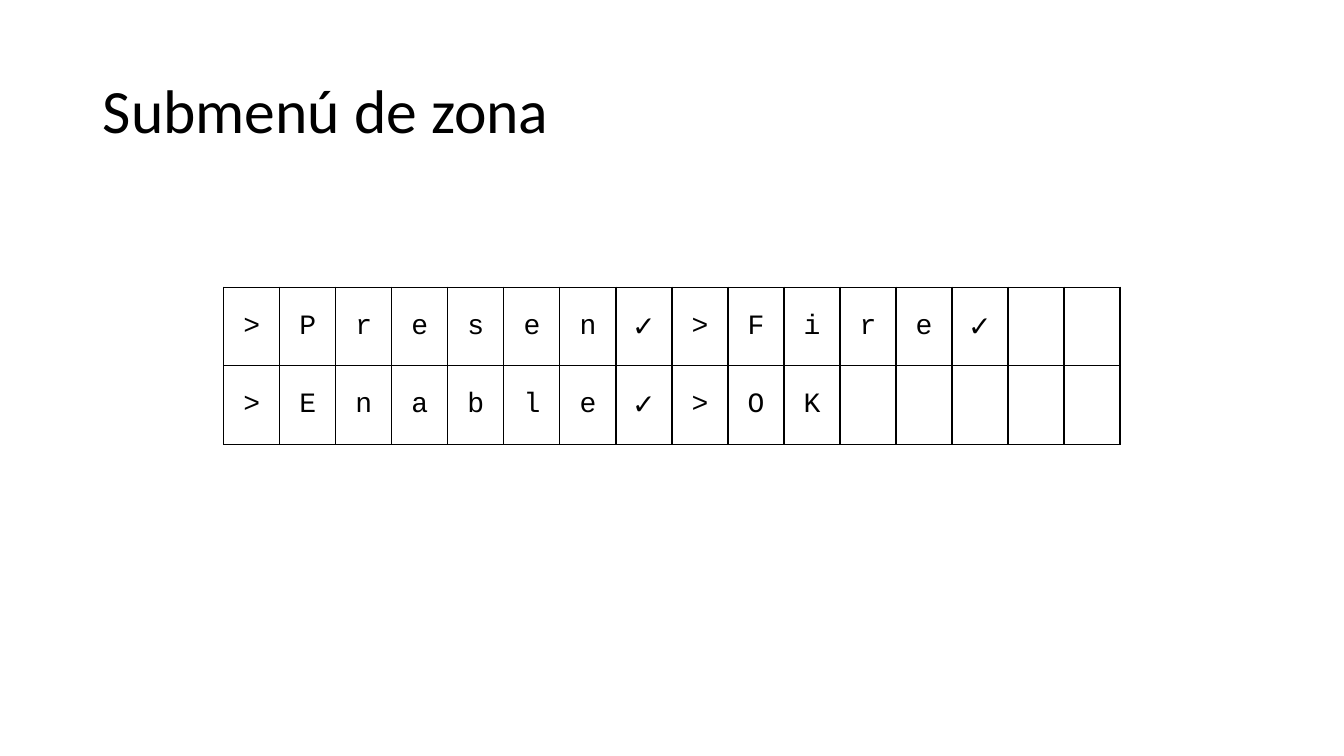
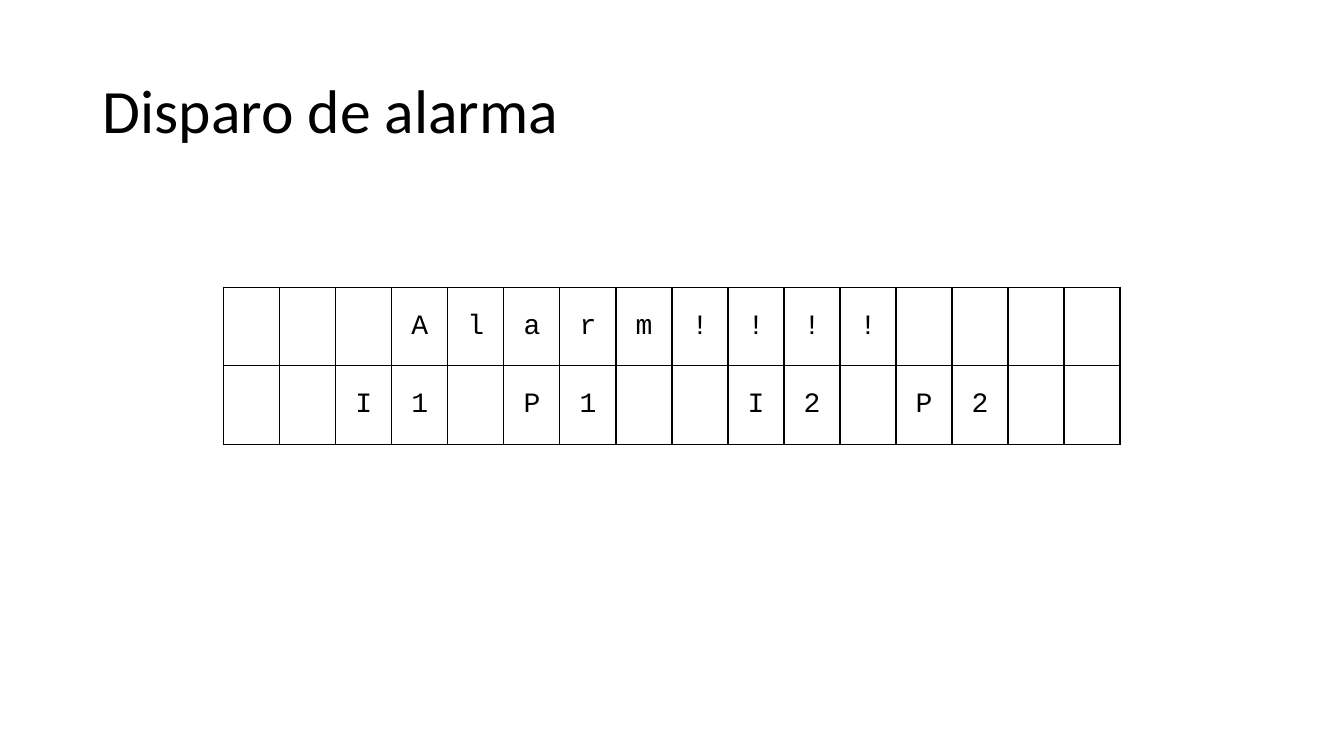
from lxml.etree import SubElement
from pptx import Presentation
from pptx.dml.color import RGBColor
from pptx.enum.text import MSO_ANCHOR, MSO_AUTO_SIZE, PP_ALIGN
from pptx.oxml.ns import qn
from pptx.util import Inches, Pt

COLORS = {"ink": "000000", "paper": "FFFFFF"}
TITLE_FONT, DISPLAY_FONT, SYMBOL_FONT = "Calibri", "Courier New", "Arial"
SLIDE_SIZE = (13.33, 7.5)
TITLE_BOX = (0.92, 0.4, 11.5, 1.45)
DISPLAY_BOX = (2.22, 2.85, 8.89, 1.56)
DISPLAY_COLUMNS = 16
TITLE_ONLY = 5

SCREENS = [
    ("Submenú de zona", [{0: "Presen✓", 8: "Fire✓"}, {0: "Enable✓", 8: "OK"}], ">"),
    ("Disparo de alarma", [{3: "Alarm!!!!"}, {2: "I1", 5: "P1", 9: "I2", 12: "P2"}], ""),
]


def style_font(font, name, size):
    """Set the typeface, size and ink colour of a font."""
    font.name = name
    font.size = Pt(size)
    font.color.rgb = RGBColor.from_string(COLORS["ink"])


def add_title(slide, text, box):
    """Place and format the title placeholder."""
    title = slide.shapes.title
    title.left, title.top, title.width, title.height = map(Inches, box)
    frame = title.text_frame
    frame.text = text
    frame.auto_size = MSO_AUTO_SIZE.NONE
    frame.vertical_anchor = MSO_ANCHOR.MIDDLE
    paragraph = frame.paragraphs[0]
    paragraph.alignment = PP_ALIGN.LEFT
    paragraph.line_spacing = 0.9
    style_font(paragraph.font, TITLE_FONT, 44)


def outline_cell(cell):
    """Draw a thin border on all four sides of an unfilled cell."""
    properties = cell._tc.get_or_add_tcPr()
    for side in ("a:lnL", "a:lnR", "a:lnT", "a:lnB"):
        line = SubElement(properties, qn(side), w=str(Pt(1)))
        fill = SubElement(line, qn("a:solidFill"))
        SubElement(fill, qn("a:srgbClr"), val=COLORS["ink"])
    cell.fill.background()


def write_character(cell, character):
    """Centre one display character in a cell."""
    cell.text = character
    paragraph = cell.text_frame.paragraphs[0]
    paragraph.alignment = PP_ALIGN.CENTER
    style_font(paragraph.font, SYMBOL_FONT if character == "✓" else DISPLAY_FONT, 20)


def add_display(slide, lines, prompt, box):
    """Draw a character display whose words are keyed by starting column."""
    table = slide.shapes.add_table(len(lines), DISPLAY_COLUMNS, *map(Inches, box)).table
    table.first_row = table.horz_banding = False
    for cell in table.iter_cells():
        cell.vertical_anchor = MSO_ANCHOR.MIDDLE
        outline_cell(cell)
    for row, words in enumerate(lines):
        for start, word in words.items():
            for column, character in enumerate(prompt + word, start):
                write_character(table.cell(row, column), character)


def add_screen(presentation, title, lines, prompt):
    """Add one slide with a title and a character display."""
    slide = presentation.slides.add_slide(presentation.slide_layouts[TITLE_ONLY])
    add_title(slide, title, TITLE_BOX)
    add_display(slide, lines, prompt, DISPLAY_BOX)


def main():
    """Build and save the presentation."""
    presentation = Presentation()
    presentation.slide_width, presentation.slide_height = map(Inches, SLIDE_SIZE)
    background = presentation.slide_master.background.fill
    background.solid()
    background.fore_color.rgb = RGBColor.from_string(COLORS["paper"])
    for title, lines, prompt in SCREENS:
        add_screen(presentation, title, lines, prompt)
    presentation.save("out.pptx")


if __name__ == "__main__":
    main()
